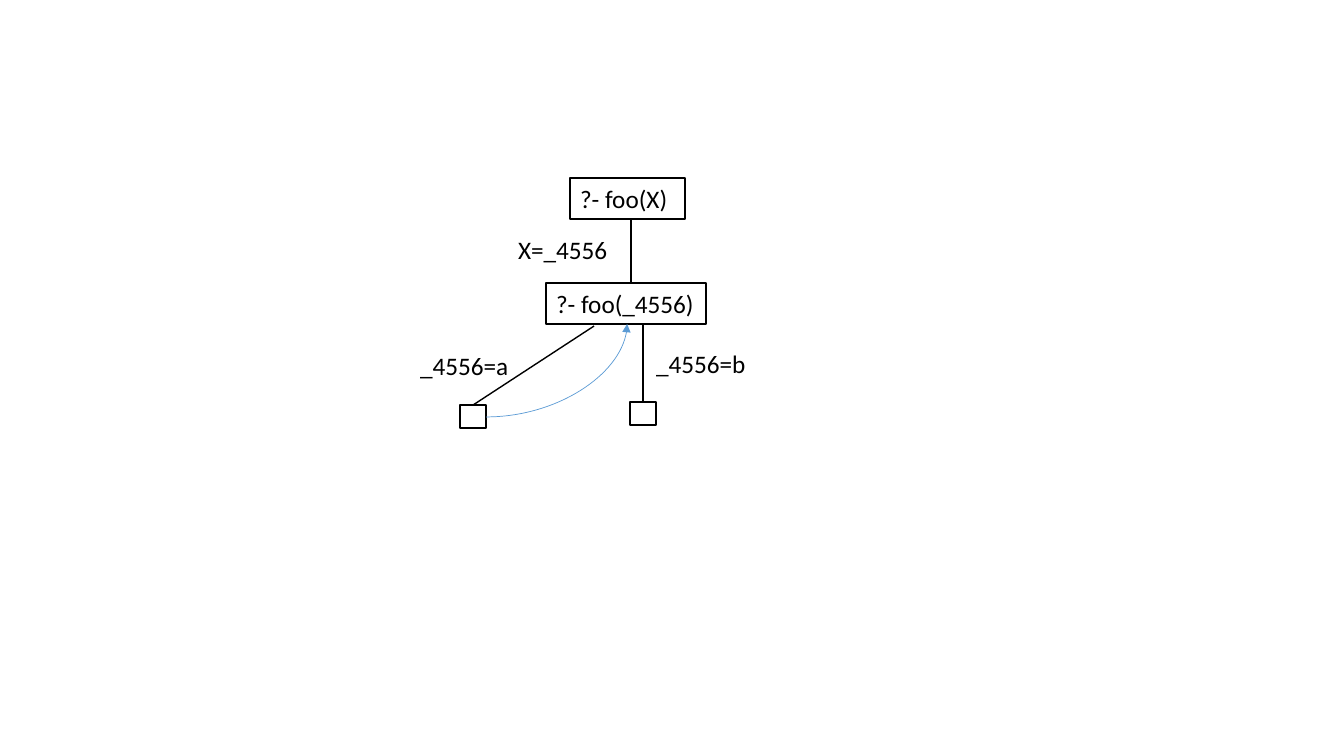
from lxml.etree import SubElement
from pptx import Presentation
from pptx.dml.color import RGBColor
from pptx.enum.shapes import MSO_CONNECTOR, MSO_SHAPE
from pptx.enum.text import MSO_ANCHOR, MSO_AUTO_SIZE, PP_ALIGN
from pptx.oxml.ns import qn
from pptx.util import Emu, Inches, Pt

COLORS = {"ink": "000000", "paper": "FFFFFF", "backtrack": "5B9BD5"}
PIXEL = Inches(1) / 100.8
FONT = {"name": "Calibri", "size": Pt(18)}

# Places are left, top, width, height in pixels; the flag is word wrap.
GOALS = [
    ("?- foo(X) ", (570, 178, 115, 41), False),
    ("?- foo(_4556)", (546, 283, 160, 41), True),
]
BINDINGS = [
    ("X=_4556", (508, 229, 111, 41), False),
    ("_4556=a", (410, 345, 134, 41), True),
    ("_4556=b", (646, 343, 140, 41), True),
]
LEAF_SIZE = (26, 23)
LEAVES = [(460, 405), (630, 402)]
BRANCHES = [
    ((631, 219), (631, 283)),
    ((594, 326), (473, 405)),
    ((643, 324), (643, 402)),
]
BACKTRACK = ((486, 417), (627, 324))


def px(*lengths):
    """Turn pixels into EMU."""
    return [Emu(round(length * PIXEL)) for length in lengths]


def color(key):
    """Look up a colour of the slide."""
    return RGBColor.from_string(COLORS[key])


def write(shape, text, wrap):
    """Put one left-aligned line of text in a shape."""
    frame = shape.text_frame
    frame.text = text
    settings = {"word_wrap": wrap, "auto_size": MSO_AUTO_SIZE.SHAPE_TO_FIT_TEXT,
                "vertical_anchor": MSO_ANCHOR.TOP}
    for key, value in settings.items():
        setattr(frame, key, value)
    paragraph = frame.paragraphs[0]
    paragraph.alignment = PP_ALIGN.LEFT
    font = paragraph.runs[0].font
    for key, value in FONT.items():
        setattr(font, key, value)
    font.color.rgb = color("ink")


def add_node(place):
    """Draw a white box with a black outline."""
    node = slide.shapes.add_shape(MSO_SHAPE.RECTANGLE, *px(*place))
    node.shadow.inherit = False
    node.fill.solid()
    node.fill.fore_color.rgb = color("paper")
    node.line.color.rgb = color("ink")
    node.line.width = Pt(1)
    return node


def add_edge(ends, kind, line_color, width):
    """Join two points with a line that has no shadow."""
    start, end = ends
    edge = slide.shapes.add_connector(kind, *px(*start, *end))
    edge.line.color.rgb = color(line_color)
    edge.line.width = Pt(width)
    SubElement(edge._element.spPr, qn("a:effectLst"))
    return edge


deck = Presentation()
deck.slide_width, deck.slide_height = Inches(13.33), Inches(7.5)
slide = deck.slides.add_slide(deck.slide_layouts[6])

for goal, place, wrap in GOALS:
    write(add_node(place), goal, wrap)
for corner in LEAVES:
    add_node(corner + LEAF_SIZE)
for branch in BRANCHES:
    add_edge(branch, MSO_CONNECTOR.STRAIGHT, "ink", 1)
for binding, place, wrap in BINDINGS:
    write(slide.shapes.add_textbox(*px(*place)), binding, wrap)

# A quarter-turn curve leads back from the first leaf to its goal.
backtrack = add_edge(BACKTRACK, MSO_CONNECTOR.CURVE, "backtrack", 0.5)
properties = backtrack._element.spPr
properties.find(qn("a:prstGeom")).set("prst", "curvedConnector2")
SubElement(properties.find(qn("a:ln")), qn("a:tailEnd"), type="triangle")

deck.save("out.pptx")
